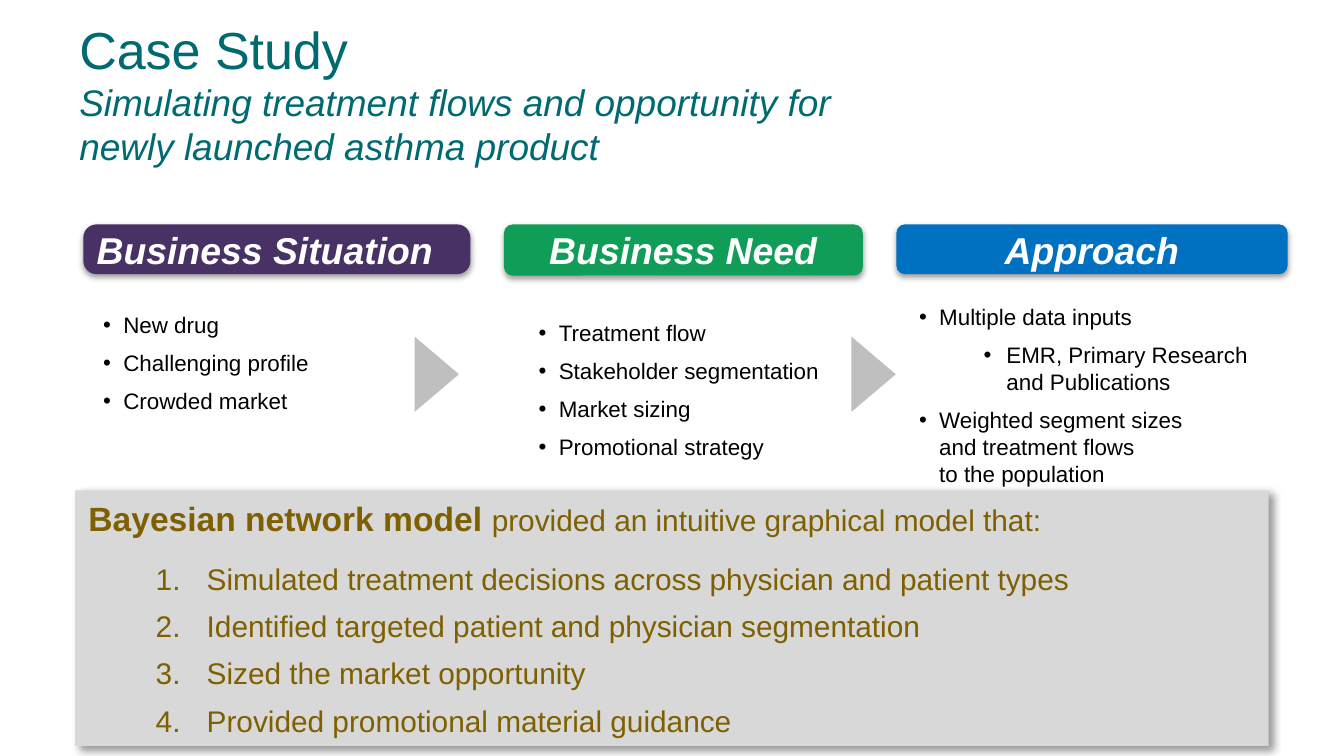
from dataclasses import dataclass

from lxml.etree import SubElement
from pptx import Presentation
from pptx.dml.color import RGBColor
from pptx.enum.shapes import MSO_SHAPE as Kind
from pptx.enum.text import MSO_ANCHOR as Anchor, MSO_AUTO_SIZE as Fit, PP_ALIGN as Align
from pptx.oxml.ns import qn
from pptx.util import Inches, Pt

COLOR = {
    "teal": "006A71", "purple": "483165", "green": "0F9D58", "blue": "0070C0",
    "panel": "D8D8D8", "gold": "7F6000", "arrow": "BFBFBF",
    "white": "FFFFFF", "black": "000000",
}
Box = tuple[float, float, float, float]


@dataclass
class Shade:
    alpha: int
    blur: float
    dist: float
    angle: int


@dataclass
class Item:
    text: str
    level: int = 1
    left: float = 0.31
    hang: float = 0.15


@dataclass
class Column:
    name: str
    color: str
    head: Box
    round: float
    align: Align
    body: Box
    pad: float
    items: list[Item]


SOFT = Shade(38, 3.1, 1.6, 90)
DEEP = Shade(40, 4, 3, 45)

COLUMNS = [
    Column("Business Situation", "purple", (0.62, 1.67, 2.88, 0.37), 0.265, Align.LEFT,
           (0.51, 2.23, 2.63, 0.94), 0.1,
           [Item("New drug"), Item("Challenging profile"), Item("Crowded market")]),
    Column("Business Need", "green", (3.75, 1.67, 2.67, 0.38), 0.167, Align.CENTER,
           (3.75, 2.43, 2.67, 0.94), 0.1,
           [Item("Treatment flow"), Item("Stakeholder segmentation"),
            Item("Market sizing"), Item("Promotional strategy")]),
    Column("Approach", "blue", (6.67, 1.67, 2.91, 0.37), 0.167, Align.CENTER,
           (6.58, 2.38, 3.42, 1.12), 0,
           [Item("Multiple data inputs"),
            Item("EMR, Primary Research \nand Publications", 2, 0.81, 0.17),
            Item("Weighted segment sizes \nand treatment flows \nto the population")]),
]

RESULTS = [
    "Simulated treatment decisions across physician and patient types",
    "Identified targeted patient and physician segmentation",
    "Sized the market opportunity",
    "Provided promotional material guidance",
]


def rgb(name: str) -> RGBColor:
    return RGBColor.from_string(COLOR[name])


def style(run, size: float, color: str, bold: bool = False, italic: bool = False) -> None:
    font = run.font
    font.name, font.size, font.bold, font.italic = "Arial", Pt(size), bold, italic
    font.color.rgb = rgb(color)


def set_frame(frame, x: float, top: float, low: float) -> None:
    frame.word_wrap = True
    frame.auto_size = Fit.NONE
    frame.vertical_anchor = Anchor.MIDDLE
    frame.margin_left = frame.margin_right = Inches(x)
    frame.margin_top, frame.margin_bottom = Inches(top), Inches(low)


def add_block(slide, kind: Kind, box: Box, color: str, shade: Shade | None = None):
    shape = slide.shapes.add_shape(kind, *map(Inches, box))
    shape.fill.solid()
    shape.fill.fore_color.rgb = rgb(color)
    shape.line.fill.background()
    shape.shadow.inherit = False
    if shade:
        effect = shape.element.spPr.find(qn("a:effectLst"))
        outer = SubElement(effect, qn("a:outerShdw"), blurRad=str(Pt(shade.blur)),
                           dist=str(Pt(shade.dist)), dir=str(shade.angle * 60000),
                           algn="ctr", rotWithShape="0")
        tint = SubElement(outer, qn("a:srgbClr"), val=COLOR["black"])
        SubElement(tint, qn("a:alpha"), val=str(shade.alpha * 1000))
    return shape


def fill_item(para, item: Item, size: float, color: str, gap: float,
              count: bool = False) -> None:
    para.text = item.text
    para.level = item.level
    para.alignment = Align.LEFT
    para.space_before = Pt(gap)
    for run in para.runs:
        style(run, size, color)
    # Bullet or number with a hanging indent
    props = para._p.get_or_add_pPr()
    props.set("marL", str(Inches(item.left)))
    props.set("indent", str(-Inches(item.hang)))
    SubElement(SubElement(props, qn("a:buClr")), qn("a:srgbClr"), val=COLOR[color])
    SubElement(props, qn("a:buFont"), typeface="Arial")
    if count:
        SubElement(props, qn("a:buAutoNum"), type="arabicPeriod")
    else:
        SubElement(props, qn("a:buChar"), char="•")


def add_title(slide) -> None:
    title = slide.shapes.title
    title.left, title.top, title.width, title.height = map(Inches, (0.49, 0.54, 9, 0.75))
    # The deep lower margin lifts the text above the box
    set_frame(title.text_frame, 0.1, 0.05, 0.5)
    para = title.text_frame.paragraphs[0]
    para.text = ("Case Study\nSimulating treatment flows and opportunity for \n"
                 "newly launched asthma product")
    para.alignment = Align.LEFT
    head, *rest = para.runs
    style(head, 27.9, "teal")
    for run in rest:
        style(run, 19.8, "teal", italic=True)


def add_column(slide, col: Column) -> None:
    head = add_block(slide, Kind.ROUNDED_RECTANGLE, col.head, col.color, SOFT)
    head.adjustments[0] = col.round
    set_frame(head.text_frame, 0.07, 0, 0)
    head.text_frame.text = col.name
    para = head.text_frame.paragraphs[0]
    para.alignment = col.align
    style(para.runs[0], 20, "white", bold=True, italic=True)

    frame = slide.shapes.add_textbox(*map(Inches, col.body)).text_frame
    set_frame(frame, 0.1, col.pad, col.pad)
    for i, item in enumerate(col.items):
        para = frame.add_paragraph() if i else frame.paragraphs[0]
        fill_item(para, item, 12, "black", 6 if i else 0)


def add_panel(slide) -> None:
    frame = add_block(slide, Kind.RECTANGLE, (0.56, 3.65, 8.88, 1.9), "panel", DEEP).text_frame
    set_frame(frame, 0.1, 0.1, 0.1)
    lead = frame.paragraphs[0]
    lead.text = "Bayesian network model "
    lead.alignment = Align.LEFT
    style(lead.runs[0], 18, "gold", bold=True)
    tail = lead.add_run()
    tail.text = "provided an intuitive graphical model that:"
    style(tail, 16, "gold")
    for i, text in enumerate(RESULTS):
        fill_item(frame.add_paragraph(), Item(text, 1, 0.88, 0.38), 16, "gold",
                  6 if i else 12, count=True)


def main() -> None:
    deck = Presentation()
    # Widescreen, 16 to 9
    deck.slide_width = Inches(10)
    deck.slide_height = Inches(10 * 9 / 16)
    slide = deck.slides.add_slide(deck.slide_layouts[5])
    add_title(slide)
    add_panel(slide)
    for col in COLUMNS:
        add_column(slide, col)
    # Arrows between the columns
    for left in (2.97, 6.22):
        add_block(slide, Kind.ISOSCELES_TRIANGLE, (left, 2.62, 0.56, 0.33), "arrow").rotation = 90
    deck.save("out.pptx")


if __name__ == "__main__":
    main()
